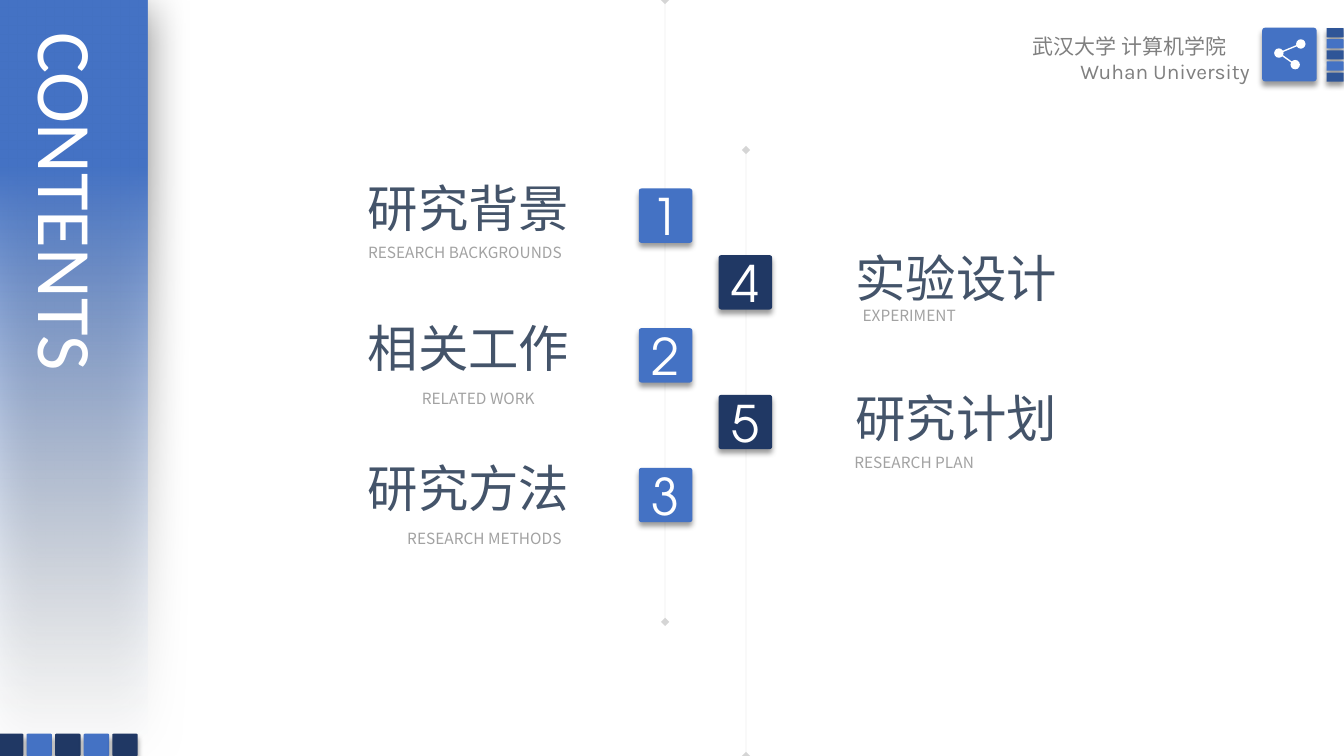
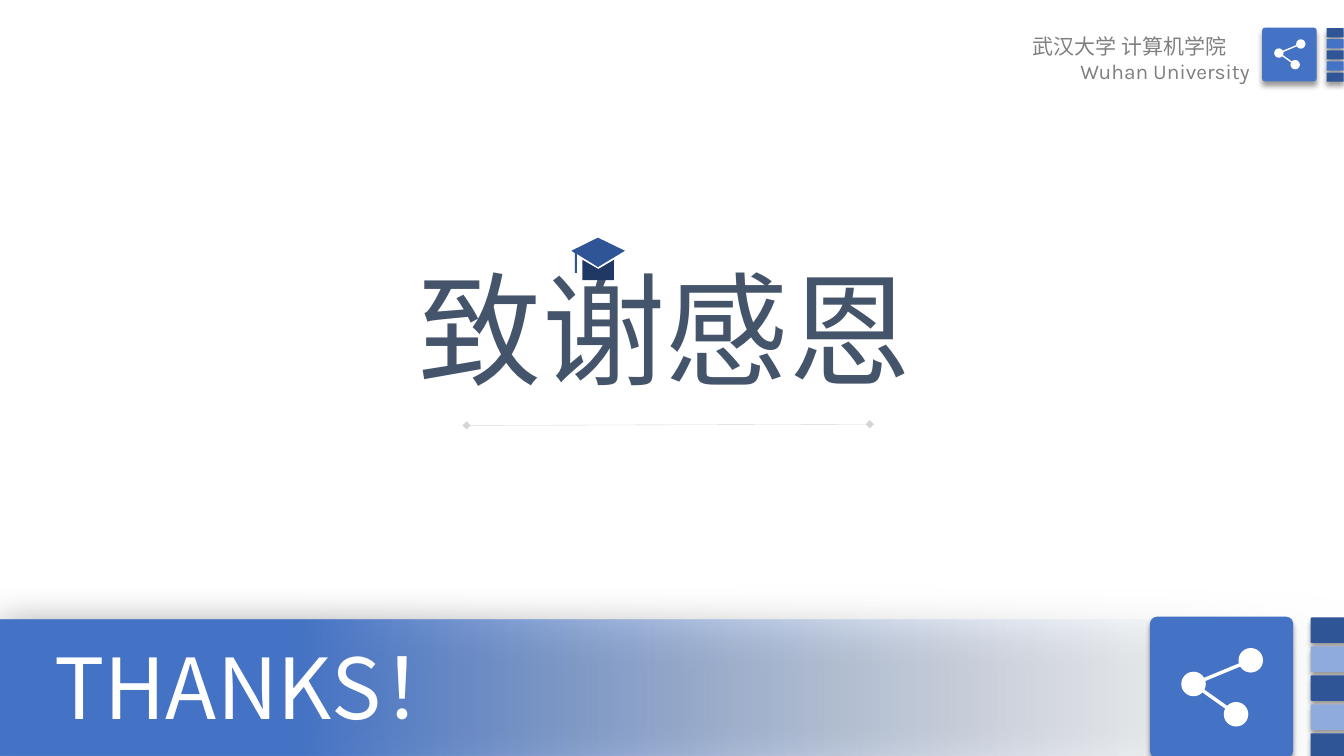
import dataclasses
import typing

import lxml.etree
import pptx
import pptx.dml.color
import pptx.enum.shapes
import pptx.enum.text
import pptx.oxml.ns
import pptx.shapes.autoshape
import pptx.slide
import pptx.text.text
import pptx.util

Cm = pptx.util.Cm
Pt = pptx.util.Pt
qn = pptx.oxml.ns.qn
PRESET = pptx.enum.shapes.MSO_SHAPE
ANCHOR = pptx.enum.text.MSO_ANCHOR
ALIGN = pptx.enum.text.PP_ALIGN

COLORS = {
    "blue": "4472C4",
    "deep": "2F5597",
    "navy": "203864",
    "pale": "8FAADC",
    "fade": "F7FAFD",
    "slate": "44546A",
    "grey": "808080",
    "caption": "A2A2A2",
    "white": "FFFFFF",
    "black": "000000",
}
CJK = "Noto Sans CJK SC"
NODES = ((0.85, 0.15), (0.15, 0.44), (0.67, 0.81))
NODE_SIZE = 0.3
CAP_BOARD = ((1440, 632), (1507, 599), (1575, 632), (1507, 673),
             (1454, 640), (1454, 688), (1449, 688), (1449, 638))
CAP_BASE = ((1468, 655), (1508, 678), (1547, 655), (1547, 706), (1468, 706))


class Box(typing.NamedTuple):
    left: float
    top: float
    width: float
    height: float

    def lengths(self) -> list[pptx.util.Length]:
        return [Cm(value) for value in self]


class Shadow(typing.NamedTuple):
    alpha: int
    blur: int
    distance: int
    angle: int


TILE_SHADOW = Shadow(40, 4, 3, 90)
BAND_SHADOW = Shadow(50, 31, 6, 97)


@dataclasses.dataclass(frozen=True)
class Style:
    size: float
    color: str
    font: str = CJK
    align: ALIGN = ALIGN.LEFT


HEADER_CN = Style(15, "grey")
HEADER_EN = Style(15, "grey", "Karla")
NUMBER = Style(36, "white", "TeX Gyre Adventor", ALIGN.CENTER)
TOPIC = Style(36, "slate")
CAPTION = Style(11, "caption", align=ALIGN.CENTER)


@dataclasses.dataclass(frozen=True)
class Column:
    tile_left: float
    tile_top: float
    topic_left: float
    topic_rise: float
    color: str


@dataclasses.dataclass(frozen=True)
class Topic:
    name: str
    caption: str
    caption_box: Box


ROW_PITCH = 3.52
LEFT_COLUMN = Column(16.1, 4.75, 9.02, 0.4, "blue")
RIGHT_COLUMN = Column(18.11, 6.43, 21.31, 0.33, "navy")
CONTENTS = (
    (LEFT_COLUMN, (
        Topic("研究背景", "RESEARCH BACKGROUNDS", Box(8.89, 5.99, 5.66, 0.74)),
        Topic("相关工作", "RELATED WORK", Box(10.29, 9.68, 3.53, 0.74)),
        Topic("研究方法", "RESEARCH METHODS", Box(9.91, 13.21, 4.6, 0.74)),
    )),
    (RIGHT_COLUMN, (
        Topic("实验设计", "EXPERIMENT", Box(21.44, 7.59, 2.95, 0.74)),
        Topic("研究计划", "RESEARCH PLAN", Box(21.21, 11.3, 3.66, 0.74)),
    )),
)


def rgb(name: str) -> pptx.dml.color.RGBColor:
    return pptx.dml.color.RGBColor.from_string(COLORS[name])


def add_alpha(color: lxml.etree._Element, percent: int) -> None:
    lxml.etree.SubElement(color, qn("a:alpha"), val=str(percent * 1000))


def add_run(paragraph: pptx.text.text._Paragraph, text: str, style: Style) -> None:
    paragraph.alignment = style.align
    run = paragraph.add_run()
    run.text = text
    run.font.size = Pt(style.size)
    run.font.color.rgb = rgb(style.color)
    run.font.name = style.font
    lxml.etree.SubElement(run.font._element, qn("a:ea"), typeface=style.font)


def add_label(slide: pptx.slide.Slide, box: Box, text: str, style: Style,
              wrap: bool = False) -> pptx.text.text.TextFrame:
    frame = slide.shapes.add_textbox(*box.lengths()).text_frame
    frame.word_wrap = wrap
    add_run(frame.paragraphs[0], text, style)
    return frame


def cast_shadow(shape: pptx.shapes.autoshape.Shape, shadow: Shadow) -> None:
    effects = shape.element.spPr.find(qn("a:effectLst"))
    outer = lxml.etree.SubElement(
        effects, qn("a:outerShdw"), blurRad=str(Pt(shadow.blur)),
        dist=str(Pt(shadow.distance)), dir=str(shadow.angle * 60000),
        algn="ctr", rotWithShape="0")
    color = lxml.etree.SubElement(outer, qn("a:srgbClr"), val=COLORS["black"])
    add_alpha(color, shadow.alpha)


def paint(shape: pptx.shapes.autoshape.Shape, color: str) -> None:
    shape.fill.solid()
    shape.fill.fore_color.rgb = rgb(color)
    shape.line.fill.background()
    shape.shadow.inherit = False


def add_tile(slide: pptx.slide.Slide, box: Box, color: str) -> pptx.shapes.autoshape.Shape:
    tile = slide.shapes.add_shape(PRESET.ROUNDED_RECTANGLE, *box.lengths())
    tile.adjustments[0] = 0.05
    paint(tile, color)
    cast_shadow(tile, TILE_SHADOW)
    return tile


def add_stripes(slide: pptx.slide.Slide, first: Box, step_x: float, step_y: float,
                colors: tuple[str, str]) -> None:
    for index in range(5):
        stripe = first._replace(left=first.left + index * step_x,
                                top=first.top + index * step_y)
        add_tile(slide, stripe, colors[index % 2])


def add_line(slide: pptx.slide.Slide, start: tuple[float, float], end: tuple[float, float],
             color: str, width: float) -> lxml.etree._Element:
    line = slide.shapes.add_connector(
        pptx.enum.shapes.MSO_CONNECTOR.STRAIGHT,
        *(Cm(value) for value in (*start, *end)))
    line.line.color.rgb = rgb(color)
    line.line.width = Pt(width)
    lxml.etree.SubElement(line.element.spPr, qn("a:effectLst"))
    return line.element.spPr.find(qn("a:ln"))


def add_guide(slide: pptx.slide.Slide, start: tuple[float, float],
              end: tuple[float, float]) -> None:
    outline = add_line(slide, start, end, "grey", 0.25)
    add_alpha(outline.find(".//" + qn("a:srgbClr")), 33)
    for tip in ("a:headEnd", "a:tailEnd"):
        lxml.etree.SubElement(outline, qn(tip), type="diamond")


def add_network_badge(slide: pptx.slide.Slide, badge: Box, left: float, top: float,
                      size: float) -> None:
    add_tile(slide, badge, "blue")
    centers = [(left + x * size, top + y * size) for x, y in NODES]
    hub = centers[1]
    for end in (centers[0], centers[2]):
        add_line(slide, hub, end, "white", round(size * 1.2, 2))
    diameter = NODE_SIZE * size
    for x, y in centers:
        spot = Box(x - diameter / 2, y - diameter / 2, diameter, diameter)
        paint(slide.shapes.add_shape(PRESET.OVAL, *spot.lengths()), "white")


def add_header(slide: pptx.slide.Slide) -> None:
    add_stripes(slide, Box(33.43, 0.71, 0.43, 0.23), 0, 0.28, ("deep", "blue"))
    add_network_badge(slide, Box(31.81, 0.7, 1.37, 1.35), 32.11, 0.99, 0.79)
    frame = add_label(slide, Box(25.78, 0.71, 6.1, 1.6), "武汉大学 计算机学院", HEADER_CN, True)
    university = frame.add_paragraph()
    university._p.get_or_add_pPr().set("marL", str(Cm(1.2)))
    add_run(university, "Wuhan University", HEADER_EN)


def add_title_band(slide: pptx.slide.Slide, band_box: Box, angle: int, title_box: Box,
                   text: str, style: Style) -> pptx.text.text.TextFrame:
    band = slide.shapes.add_shape(PRESET.RECTANGLE, *band_box.lengths())
    paint(band, "blue")
    band.fill.gradient()
    band.fill.gradient_angle = angle
    for stop, position, color in zip(band.fill.gradient_stops, (0, 0.78), ("fade", "blue")):
        stop.position = position
        stop.color.rgb = rgb(color)
    add_alpha(band.element.spPr.find(".//" + qn("a:gs")).find(qn("a:srgbClr")), 0)
    cast_shadow(band, BAND_SHADOW)

    title = slide.shapes.title
    title.left, title.top, title.width, title.height = title_box.lengths()
    title.element.addprevious(band.element)
    frame = title.text_frame
    frame.auto_size = pptx.enum.text.MSO_AUTO_SIZE.NONE
    frame.vertical_anchor = ANCHOR.TOP
    frame.word_wrap = True
    add_run(frame.paragraphs[0], text, style)
    return frame


def add_outline(slide: pptx.slide.Slide, points: tuple[tuple[int, int], ...],
                color: str) -> None:
    builder = slide.shapes.build_freeform(*points[0], scale=Cm(0.01))
    builder.add_line_segments(points[1:], close=True)
    paint(builder.convert_to_shape(), color)


def build_contents(slide: pptx.slide.Slide) -> None:
    add_header(slide)
    title = add_title_band(slide, Box(0, 0, 3.73, 18.95), 90, Box(0.3, 0.69, 2.87, 12.55),
                           "CONTENTS", Style(55, "white", "Calibri"))
    title._txBody.bodyPr.set("vert", "eaVert")
    add_guide(slide, (18.8, 3.78), (18.8, 19.05))
    add_guide(slide, (16.76, 0), (16.76, 15.67))
    add_stripes(slide, Box(-0.05, 18.49, 0.64, 0.56), 0.72, 0, ("navy", "blue"))
    number = 0
    for column, topics in CONTENTS:
        for row, topic in enumerate(topics):
            number += 1
            top = column.tile_top + row * ROW_PITCH
            tile = add_tile(slide, Box(column.tile_left, top, 1.35, 1.37), column.color)
            tile.text_frame.vertical_anchor = ANCHOR.MIDDLE
            add_run(tile.text_frame.paragraphs[0], str(number), NUMBER)
            add_label(slide, Box(column.topic_left, top - column.topic_rise, 5.64, 1.8),
                      topic.name, TOPIC)
            add_label(slide, topic.caption_box, topic.caption, CAPTION)


def build_thanks(slide: pptx.slide.Slide) -> None:
    add_header(slide)
    add_title_band(slide, Box(0, 15.62, 33.87, 3.43), 180, Box(1.12, 15.88, 17.27, 2.82),
                   "THANKS！", Style(60, "white"))
    add_label(slide, Box(10.31, 6.25, 13.06, 4.01), "致谢感恩", Style(88, "slate"))
    add_guide(slide, (11.76, 10.72), (21.92, 10.69))
    add_stripes(slide, Box(33.03, 15.56, 1.02, 0.64), 0, 0.73, ("deep", "pale"))
    add_network_badge(slide, Box(28.98, 15.54, 3.61, 3.56), 29.77, 16.33, 2.06)
    add_outline(slide, CAP_BOARD, "deep")
    add_outline(slide, CAP_BASE, "navy")


def main() -> None:
    deck = pptx.Presentation()
    deck.slide_width = Cm(33.87)
    deck.slide_height = Cm(19.05)
    for build in (build_contents, build_thanks):
        build(deck.slides.add_slide(deck.slide_layouts[5]))
    deck.save("out.pptx")


if __name__ == "__main__":
    main()
